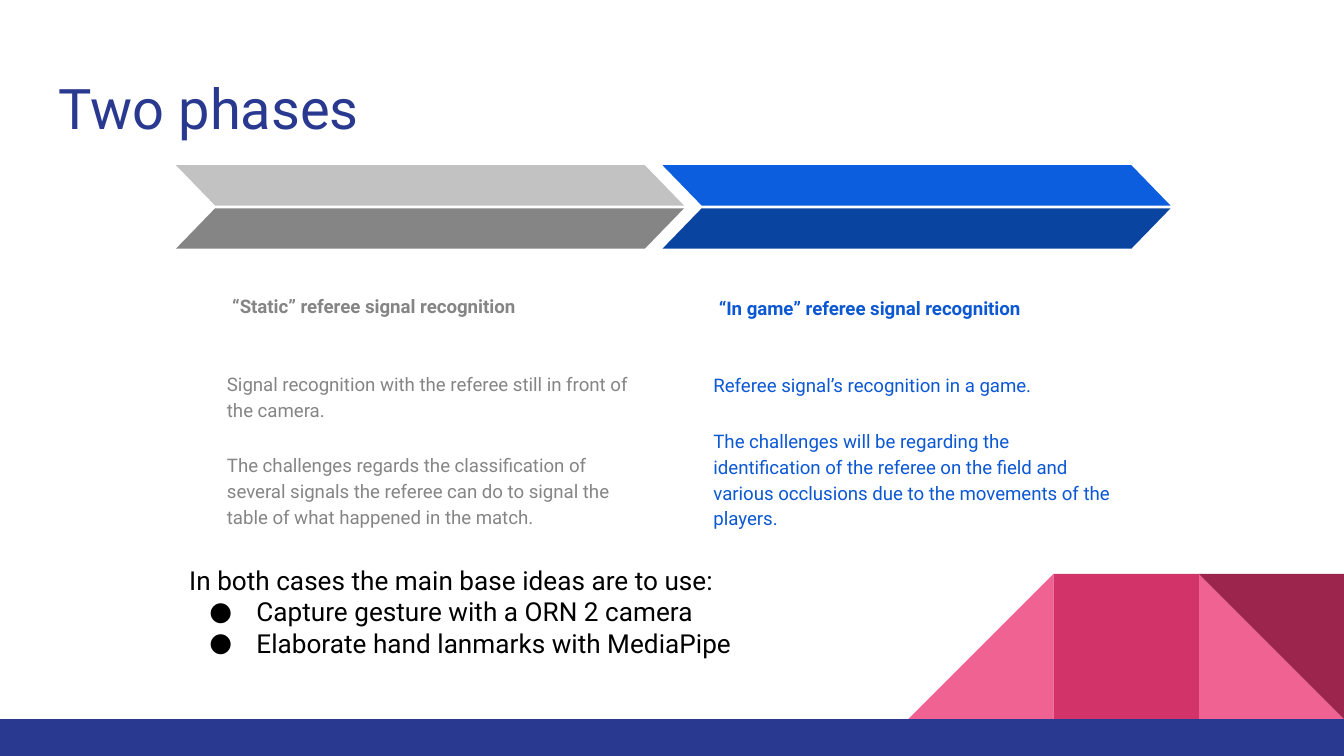
from dataclasses import dataclass

from pptx import Presentation
from pptx.dml.color import RGBColor
from pptx.enum.shapes import MSO_SHAPE
from pptx.enum.text import MSO_ANCHOR
from pptx.oxml.ns import qn
from pptx.oxml.xmlchemy import OxmlElement
from pptx.util import Inches, Pt

RECTANGLE = MSO_SHAPE.RECTANGLE
TRIANGLE = MSO_SHAPE.RIGHT_TRIANGLE
PARALLELOGRAM = MSO_SHAPE.PARALLELOGRAM
TOP = MSO_ANCHOR.TOP
BOTTOM = MSO_ANCHOR.BOTTOM


@dataclass(frozen=True)
class Theme:
    font: str = "Roboto"
    navy: str = "2A3990"
    pink: str = "F06292"
    rose: str = "D23369"
    wine: str = "9C254D"
    light_gray: str = "C2C2C2"
    gray: str = "858585"
    bright_blue: str = "0D5DDF"
    blue: str = "0C58D3"
    deep_blue: str = "0944A1"
    black: str = "000000"
    title_size: int = 30
    summary_size: int = 14
    phase_size: int = 10


THEME = Theme()

PHASES = [
    {
        "left": 1.31,
        "text_top": 2.03,
        "upper": THEME.light_gray,
        "lower": THEME.gray,
        "ink": THEME.gray,
        "heading": "“Static” referee signal recognition",
        "details": [
            "Signal recognition with the referee still in front of the camera.",
            "The challenges regards the classification of several signals the "
            "referee can do to signal the table of what happened in the match.",
        ],
    },
    {
        "left": 4.93,
        "text_top": 2.04,
        "upper": THEME.bright_blue,
        "lower": THEME.deep_blue,
        "ink": THEME.blue,
        "heading": "“In game” referee signal recognition",
        "details": [
            "Referee signal’s recognition in a game.",
            "The challenges will be regarding the identification of the referee "
            "on the field and various occlusions due to the movements of the players.",
        ],
    },
]

SUMMARY = "In both cases the main base ideas are to use:"
IDEAS = [
    "Capture gesture with a ORN 2 camera",
    "Elaborate hand lanmarks with MediaPipe",
]


def add_block(slide, kind, left, top, width, height, color, flipped=False):
    block = slide.shapes.add_shape(
        kind, Inches(left), Inches(top), Inches(width), Inches(height)
    )
    block.shadow.inherit = False
    block.fill.solid()
    block.fill.fore_color.rgb = RGBColor.from_string(color)
    block.line.fill.background()
    if flipped:
        block._element.spPr.find(qn("a:xfrm")).set("flipH", "1")
    return block


def add_text(slide, left, top, width, height, lines, size, color,
             bold=False, anchor=TOP, line_spacing=None):
    frame = slide.shapes.add_textbox(
        Inches(left), Inches(top), Inches(width), Inches(height)
    ).text_frame
    frame.word_wrap = True
    frame.vertical_anchor = anchor
    frame.margin_left = frame.margin_right = Inches(0.1)
    frame.margin_top = frame.margin_bottom = Inches(0.1)
    frame.text = "\n".join(lines)
    for paragraph in frame.paragraphs:
        paragraph.line_spacing = line_spacing
        paragraph.font.name = THEME.font
        paragraph.font.size = Pt(size)
        paragraph.font.bold = bold
        paragraph.font.color.rgb = RGBColor.from_string(color)
    return frame.paragraphs


def add_bullet(paragraph):
    properties = paragraph._p.get_or_add_pPr()
    properties.set("marL", str(Inches(0.5)))
    properties.set("indent", str(Inches(-0.35)))
    for tag, attribute, value in (
        ("a:buFont", "typeface", THEME.font),
        ("a:buChar", "char", "●"),
    ):
        bullet_part = OxmlElement(tag)
        bullet_part.set(attribute, value)
        properties.insert_element_before(
            bullet_part, "a:tabLst", "a:defRPr", "a:extLst"
        )


def add_decoration(slide):
    side, top = 1.08, 4.27
    left, middle, right = (10 - side * count for count in (3, 2, 1))
    add_block(slide, TRIANGLE, right, top, side, side, THEME.pink)
    add_block(slide, TRIANGLE, left, top, side, side, THEME.pink, flipped=True)
    add_block(slide, RECTANGLE, middle, top, side, side, THEME.rose)
    corner = add_block(slide, TRIANGLE, right, top, side, side, THEME.wine)
    corner.rotation = 180
    add_block(slide, RECTANGLE, 0, top + side, 10, 0.28, THEME.navy)


def add_phase(slide, phase):
    left, text_top = phase["left"], phase["text_top"]
    add_text(slide, left + 0.32, text_top, 3.1, 0.43, [phase["heading"]],
             THEME.phase_size, phase["ink"], bold=True, anchor=BOTTOM,
             line_spacing=1.15)
    details = add_text(slide, left + 0.28, text_top + 0.62, 3.19, 1.85,
                       phase["details"], THEME.phase_size, phase["ink"],
                       line_spacing=1.15)
    for paragraph in details[1:]:
        paragraph.space_before = paragraph.space_after = Pt(16)
    for top, color, flipped in (
        (1.23, phase["upper"], True),
        (1.55, phase["lower"], False),
    ):
        half = add_block(slide, PARALLELOGRAM, left, top, 3.78, 0.3, color, flipped)
        half.adjustments[0] = 0.97


def add_summary(slide):
    paragraphs = add_text(slide, 1.31, 4.1, 4.74, 0.91, [SUMMARY, *IDEAS],
                          THEME.summary_size, THEME.black)
    for paragraph in paragraphs[1:]:
        add_bullet(paragraph)


def main():
    deck = Presentation()
    deck.slide_width = Inches(10)
    deck.slide_height = Inches(10) * 9 // 16
    slide = deck.slides.add_slide(deck.slide_layouts[6])
    add_decoration(slide)
    add_text(slide, 0.34, 0.45, 9.32, 0.66, ["Two phases"],
             THEME.title_size, THEME.navy)
    for phase in PHASES:
        add_phase(slide, phase)
    add_summary(slide)
    deck.save("out.pptx")


if __name__ == "__main__":
    main()
